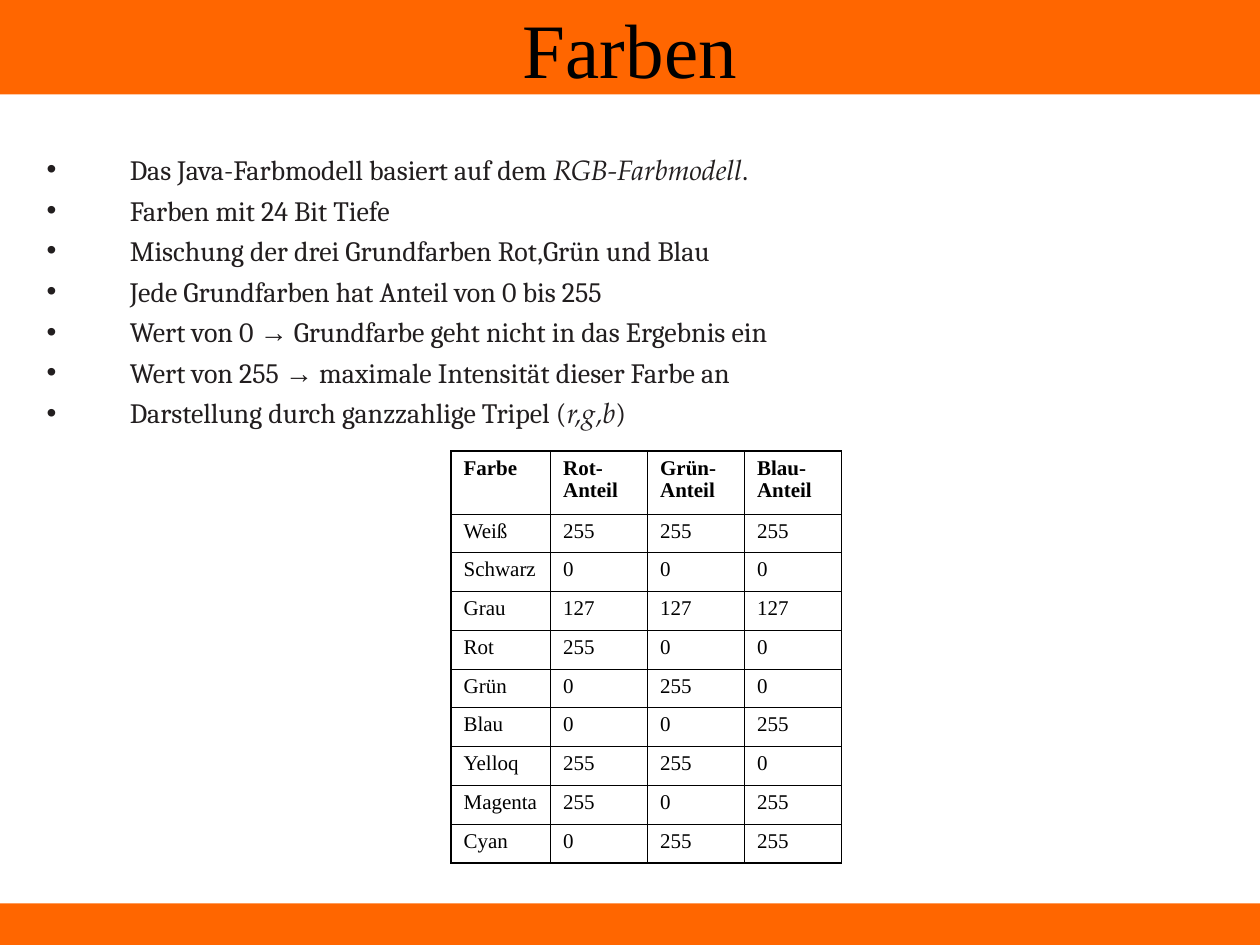
from lxml.etree import SubElement
from pptx import Presentation
from pptx.dml.color import RGBColor
from pptx.enum.shapes import MSO_SHAPE
from pptx.enum.text import MSO_ANCHOR, MSO_AUTO_SIZE, PP_ALIGN
from pptx.oxml.ns import qn
from pptx.util import Inches, Pt


def rgb(code):
    return RGBColor.from_string(code)


def format_font(font, name, size, color, **extra):
    values = {"name": name, "size": Pt(size), "bold": False, "italic": False, **extra}
    for key, value in values.items():
        setattr(font, key, value)
    font.color.rgb = rgb(color)


prs = Presentation()
prs.slide_width, prs.slide_height = Inches(10), Inches(7.5)
s = prs.slides.add_slide(prs.slide_layouts[1])
title, body = s.placeholders

# Orange bars behind the text
for top, height in [(7.17, 0.33), (0, 0.75)]:
    sp = s.shapes.add_shape(MSO_SHAPE.RECTANGLE, 0, Inches(top), Inches(10), Inches(height))
    sp.shadow.inherit = False
    sp.fill.solid()
    sp.fill.fore_color.rgb = rgb("FF6600")
    sp.line.fill.background()
    s.shapes._spTree.insert(2, sp._element)

# Title and body frames
for ph, box, margins, anchor in [
    (title, (0, -0.04, 10, 0.84), (0.1, 0.05), MSO_ANCHOR.MIDDLE),
    (body, (0.33, 1.17, 9.42, 3), (0.04, 0.04), MSO_ANCHOR.TOP),
]:
    ph.left, ph.top, ph.width, ph.height = [Inches(v) for v in box]
    tf = ph.text_frame
    tf.auto_size = MSO_AUTO_SIZE.NONE
    tf.word_wrap = True
    tf.vertical_anchor = anchor
    tf.margin_left = tf.margin_right = Inches(margins[0])
    tf.margin_top = tf.margin_bottom = Inches(margins[1])

title.text_frame.text = "Farben"
p = title.text_frame.paragraphs[0]
p.alignment = PP_ALIGN.CENTER
format_font(p.runs[0].font, "Times New Roman", 44, "000000")

# Bullet list: each run is (text, style)
styles = {
    "plain": {"name": "Cambria"},
    "math": {"name": "TeX Gyre Pagella", "italic": True},
    "arrow": {"name": "Arial"},
}
bullets = [
    [("Das Java-Farbmodell basiert auf dem ", "plain"), ("RGB-Farbmodell", "math"), (".", "plain")],
    [("Farben mit 24 Bit Tiefe", "plain")],
    [("Mischung der drei Grundfarben Rot,Grün und Blau", "plain")],
    [("Jede Grundfarben hat Anteil von 0 bis 255", "plain")],
    [("Wert von 0 ", "plain"), ("→", "arrow"), (" Grundfarbe geht nicht in das Ergebnis ein", "plain")],
    [("Wert von 255 ", "plain"), ("→", "arrow"), (" maximale Intensität dieser Farbe an", "plain")],
    [("Darstellung durch ganzzahlige Tripel (", "plain"), ("r,g,b", "math"), (")", "plain")],
]
tf = body.text_frame
for i, runs in enumerate(bullets):
    p = tf.add_paragraph() if i else tf.paragraphs[0]
    pPr = p._p.get_or_add_pPr()
    pPr.set("marL", str(Inches(0.66)))
    pPr.set("indent", str(-Inches(0.66)))
    SubElement(SubElement(pPr, qn("a:buClr")), qn("a:srgbClr"), val="221E1F")
    SubElement(pPr, qn("a:buFont"), typeface="Arial")
    SubElement(pPr, qn("a:buChar"), char="•")
    p.space_before = Pt(4 if i else 0)
    for text, style in runs:
        r = p.add_run()
        r.text = text
        format_font(r.font, size=16, color="221E1F", **styles[style])

# Colour table
rows = [
    ("Farbe", "Rot-Anteil", "Grün-Anteil", "Blau-Anteil"),
    ("Weiß", 255, 255, 255),
    ("Schwarz", 0, 0, 0),
    ("Grau", 127, 127, 127),
    ("Rot", 255, 0, 0),
    ("Grün", 0, 255, 0),
    ("Blau", 0, 0, 255),
    ("Yelloq", 255, 255, 0),
    ("Magenta", 255, 0, 255),
    ("Cyan", 0, 255, 255),
]
last_row, last_col = len(rows) - 1, len(rows[0]) - 1
table = s.shapes.add_table(len(rows), len(rows[0]), Inches(3.58), Inches(3.58),
                           Inches(3.1), Inches(3.27)).table
table.first_row = table.horz_banding = False
for i, col in enumerate(table.columns):
    col.width = Inches(0.77 if i else 0.79)
for i, row in enumerate(table.rows):
    row.height = Inches((3.27 - 0.5) / last_row if i else 0.5)

for i, values in enumerate(rows):
    for j, value in enumerate(values):
        cell = table.cell(i, j)
        cell.text = str(value)
        p = cell.text_frame.paragraphs[0]
        p.line_spacing = 0.95
        format_font(p.runs[0].font, "Times New Roman", 12, "000000", bold=i == 0)
        tcPr = cell._tc.get_or_add_tcPr()
        outer_edges = {"L": j == 0, "R": j == last_col, "T": i == 0, "B": i == last_row}
        for side, outer in outer_edges.items():
            ln = SubElement(tcPr, qn("a:ln" + side), w=str(Pt(1.08 if outer else 0.45)))
            SubElement(SubElement(ln, qn("a:solidFill")), qn("a:srgbClr"), val="000000")
        cell.fill.background()

prs.save("out.pptx")
